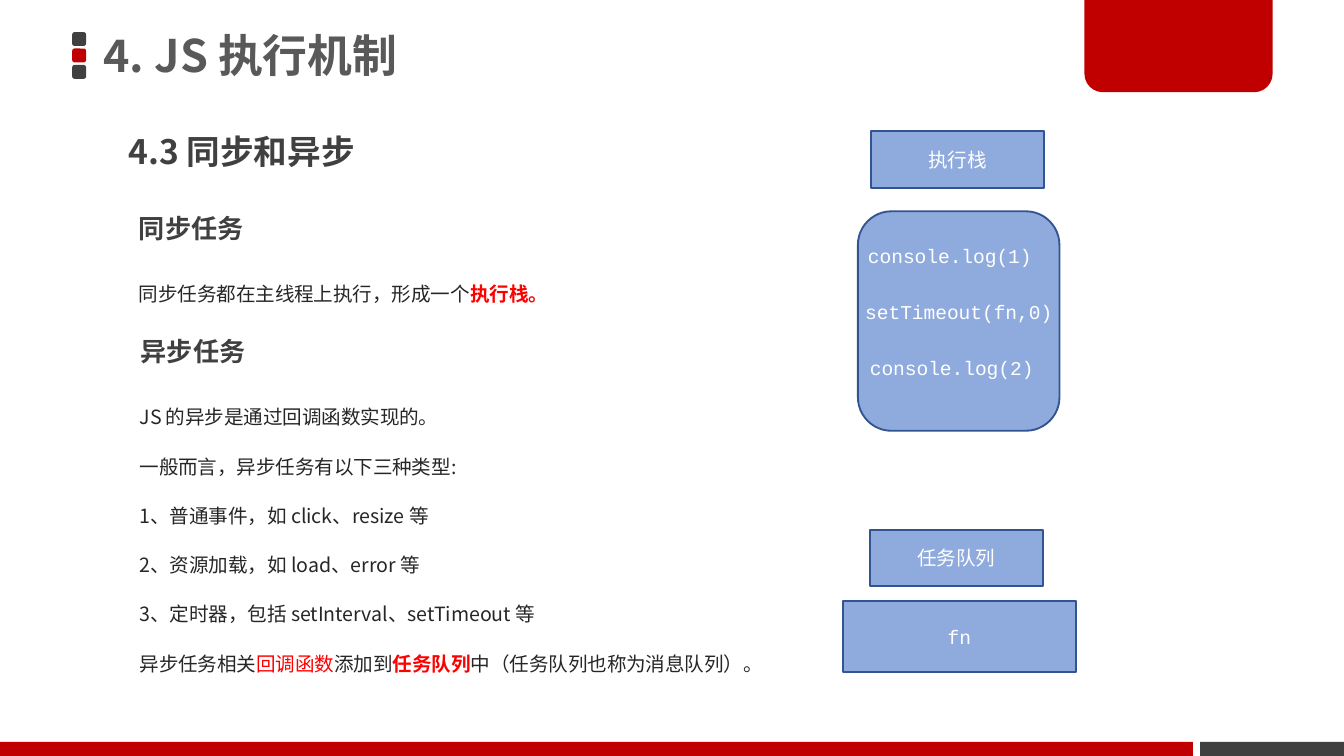
from dataclasses import dataclass
from pptx import Presentation
from pptx.dml.color import RGBColor
from pptx.enum.shapes import MSO_SHAPE
from pptx.enum.text import MSO_ANCHOR, MSO_AUTO_SIZE, PP_ALIGN
from pptx.oxml.ns import qn
from pptx.util import Pt


@dataclass(frozen=True)
class Theme:
    red: str = "C00000"
    dark: str = "404040"
    title: str = "595959"
    text: str = "262626"
    mark: str = "FF0000"
    box: str = "8FAADC"
    edge: str = "325491"
    white: str = "FFFFFF"
    sans: str = "Noto Sans CJK SC"
    code: str = "Courier New"
    big: float = 24
    head: float = 18
    sub: float = 14
    body: float = 10.5


T = Theme()


def style(font, size, color, bold=False, name=T.sans):
    font.size, font.bold, font.name = Pt(size), bold, name
    font.color.rgb = RGBColor.from_string(color)
    # East Asian text needs its own typeface entry, right after the latin one
    props = font._element
    east = props.makeelement(qn("a:ea"), {"typeface": name})
    props.find(qn("a:latin")).addnext(east)


def inset(frame):
    frame.margin_left = frame.margin_right = Pt(5.4)
    frame.margin_top = frame.margin_bottom = Pt(2.7)


def add_shape(slide, kind, box, fill, line=None):
    shape = slide.shapes.add_shape(kind, *map(Pt, box))
    shape.shadow.inherit = False
    shape.fill.solid()
    shape.fill.fore_color.rgb = RGBColor.from_string(fill)
    if line:
        shape.line.color.rgb = RGBColor.from_string(line)
        shape.line.width = Pt(1)
    else:
        shape.line.fill.background()
    return shape


def add_text(slide, box, lines, size, color=T.text, bold=False, gap=0.9):
    """Each line is a list of runs: a string, or (string, bold) for marked words."""
    frame = slide.shapes.add_textbox(*map(Pt, box)).text_frame
    frame.word_wrap = True
    inset(frame)
    for i, parts in enumerate(lines):
        para = frame.paragraphs[0] if i == 0 else frame.add_paragraph()
        para.line_spacing, para.space_before = gap, Pt(7.5)
        for part in parts:
            run = para.add_run()
            if isinstance(part, str):
                run.text = part
                style(run.font, size, color, bold)
            else:
                run.text = part[0]
                style(run.font, size, T.mark, part[1])


def add_label(slide, kind, box, text, name=T.sans):
    shape = add_shape(slide, kind, box, T.box, T.edge)
    frame = shape.text_frame
    inset(frame)
    frame.vertical_anchor = MSO_ANCHOR.MIDDLE
    para = frame.paragraphs[0]
    para.text, para.alignment = text, PP_ALIGN.CENTER
    style(para.font, T.body, T.white, name=name)


def add_frame(slide, wide, high):
    # Three small squares beside the title
    for i, color in enumerate((T.dark, T.red, T.dark)):
        add_shape(slide, MSO_SHAPE.ROUNDED_RECTANGLE,
                  (38.7, 17.2 + i * 8.8, 7.4, 7.4), color)
    # Tab at the top right, rounded only below
    tab = add_shape(slide, MSO_SHAPE.ROUND_2_SAME_RECTANGLE,
                    (581, 0, 100.8, 49.4), T.red)
    tab.adjustments[0], tab.adjustments[1] = 0, 0.2
    # Bars along the bottom
    top, thick = high - 7.5, 7.5
    add_shape(slide, MSO_SHAPE.RECTANGLE, (0, top, 639, thick), T.red)
    add_shape(slide, MSO_SHAPE.RECTANGLE, (643, top, wide - 643, thick), T.dark)


def add_title(slide, box, text):
    title = slide.shapes.title
    title.left, title.top, title.width, title.height = map(Pt, box)
    frame = title.text_frame
    inset(frame)
    frame.auto_size = MSO_AUTO_SIZE.NONE
    frame.vertical_anchor = MSO_ANCHOR.MIDDLE
    para = frame.paragraphs[0]
    para.text, para.alignment, para.line_spacing = text, PP_ALIGN.LEFT, 0.9
    style(para.font, T.big, T.title, True)


def add_notes(slide, left, top):
    """Headings and explanations in the left column."""
    def head(x, y, text, size, width=230):
        add_text(slide, (left + x, top + y, width, 42.5), [[text]],
                 size, T.dark, True)

    head(0, 0, "4.3 同步和异步", T.head, 513)
    head(5.6, 43, "同步任务", T.sub)
    add_text(slide, (left + 5.6, top + 72, 230, 37.4),
             [["同步任务都在主线程上执行，形成一个", ("执行栈。", True)]],
             T.body, gap=1.5)
    head(6.6, 109, "异步任务", T.sub)
    add_text(slide, (left + 6, top + 138.2, 376.6, 183), [
        ["JS 的异步是通过回调函数实现的。"],
        ["一般而言，异步任务有以下三种类型:"],
        ["1、普通事件，如 click、resize 等"],
        ["2、资源加载，如 load、error 等"],
        ["3、定时器，包括 setInterval、setTimeout 等"],
        ["异步任务相关", ("回调函数", False), "添加到", ("任务队列", True),
         "中（任务队列也称为消息队列）。"],
    ], T.body, gap=1.5)


def add_stack(slide, left, top):
    """Execution stack: label above a rounded box of calls."""
    add_label(slide, MSO_SHAPE.FLOWCHART_PROCESS,
              (left + 7.2, top, 92.4, 30.4), "执行栈")
    add_shape(slide, MSO_SHAPE.ROUNDED_RECTANGLE,
              (left, top + 43, 108, 117.6), T.box, T.edge)
    calls = (("console.log(1)", 0, 103), ("setTimeout(fn,0)", -1.5, 115),
             ("console.log(2)", 1, 103))
    for i, (text, shift, width) in enumerate(calls):
        spot = (left + shift, top + 57.6 + i * 30, width, 20)
        frame = slide.shapes.add_textbox(*map(Pt, spot)).text_frame
        inset(frame)
        frame.word_wrap = False
        frame.auto_size = MSO_AUTO_SIZE.SHAPE_TO_FIT_TEXT
        para = frame.paragraphs[0]
        para.text = text
        style(para.font, T.body, T.white, name=T.code)


def add_queue(slide, left, top):
    """Task queue: label above the waiting callback."""
    add_label(slide, MSO_SHAPE.FLOWCHART_PROCESS,
              (left + 14.7, top, 92.4, 30.4), "任务队列")
    add_label(slide, MSO_SHAPE.RECTANGLE,
              (left, top + 38.2, 125, 38.2), "fn", T.code)


def main():
    wide, high = 720, 405
    deck = Presentation()
    deck.slide_width, deck.slide_height = Pt(wide), Pt(high)
    slide = deck.slides.add_slide(deck.slide_layouts[5])
    add_frame(slide, wide, high)
    add_title(slide, (50, 0, 530, 62.5), "4. JS 执行机制")
    add_notes(slide, 63.4, 70)
    add_stack(slide, 459.6, 70.2)
    add_queue(slide, 451.5, 283.8)
    deck.save("out.pptx")


if __name__ == "__main__":
    main()
